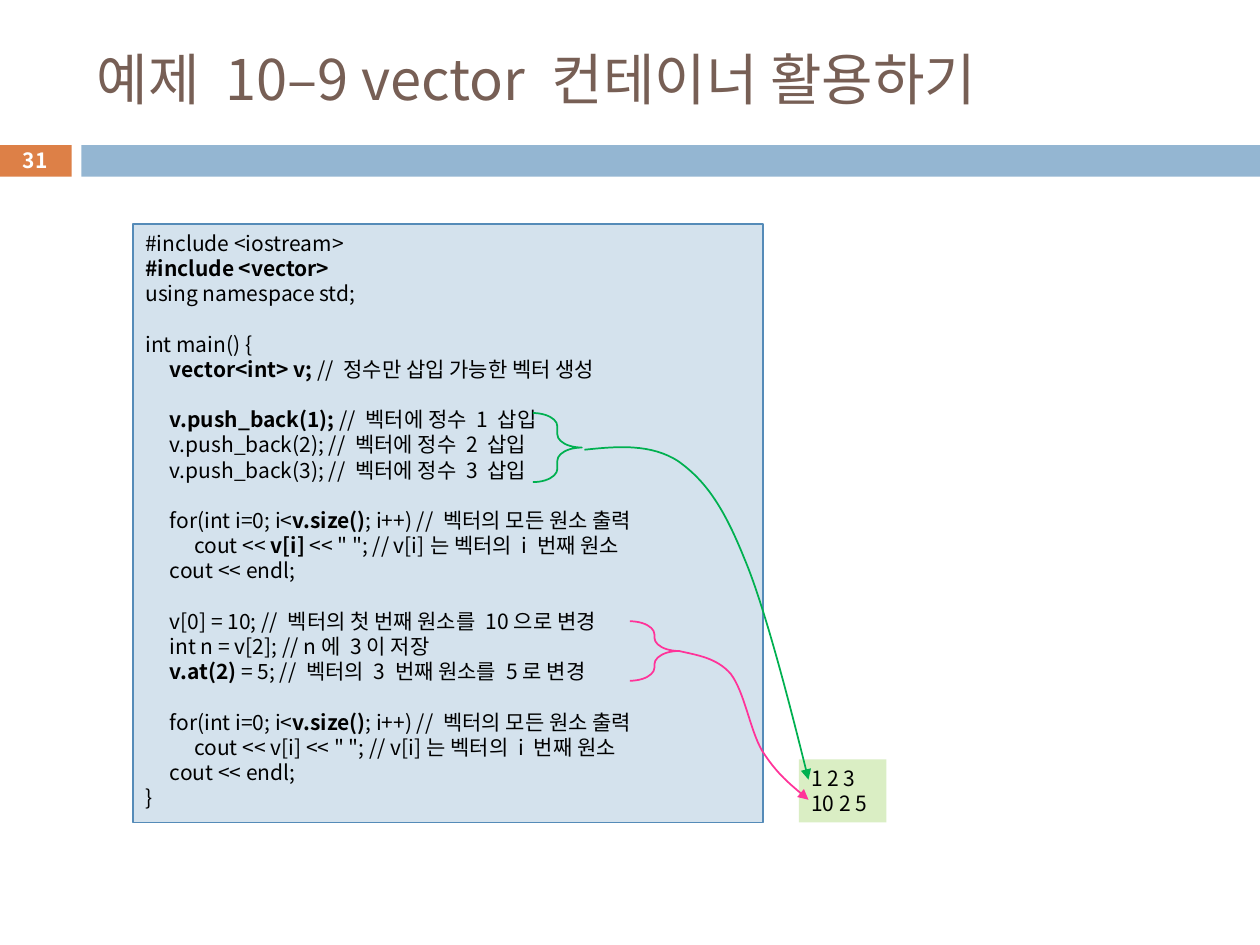
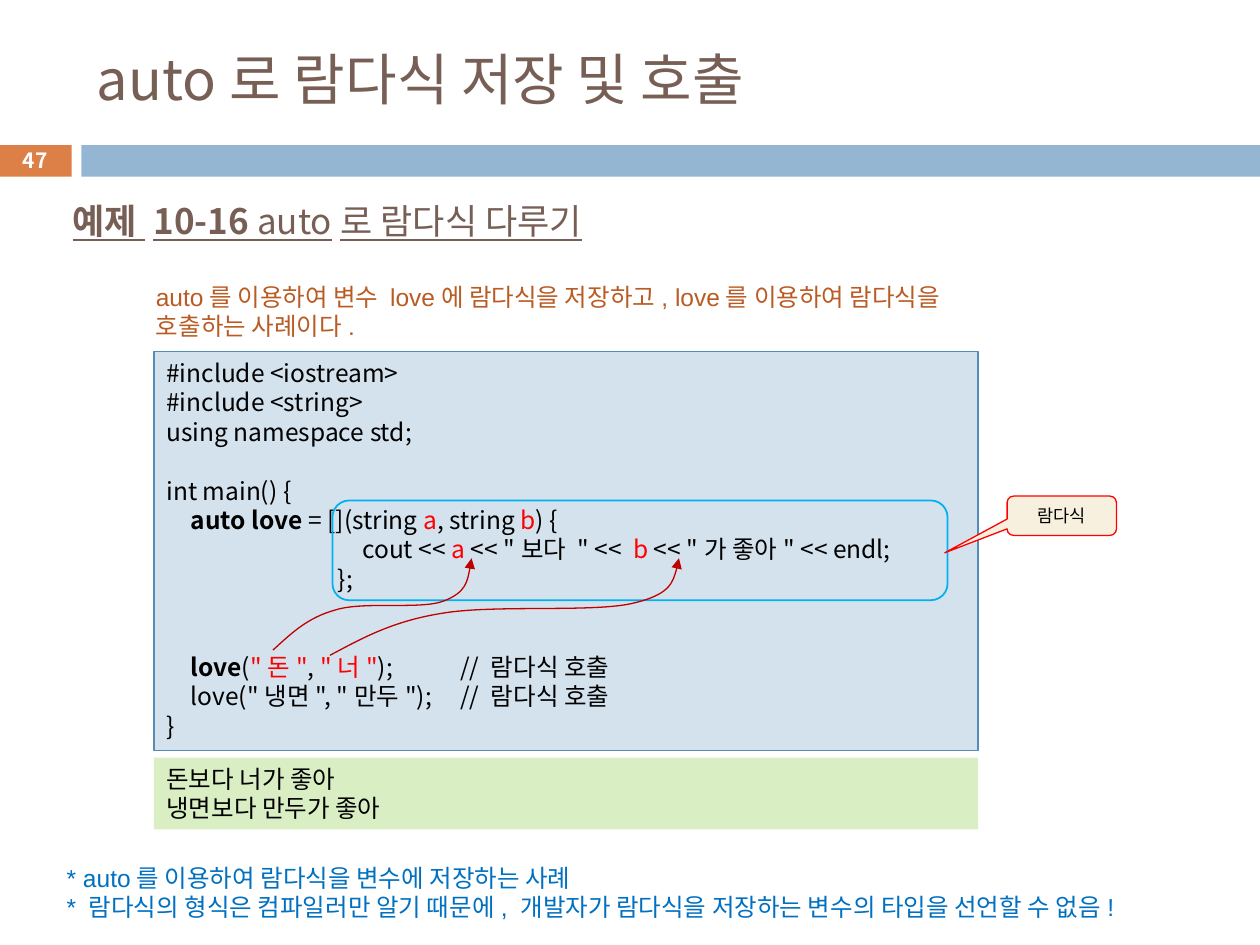
import lxml.etree
import pptx
import pptx.dml.color
import pptx.enum.shapes
import pptx.enum.text
import pptx.oxml.ns
import pptx.util

Pt = pptx.util.Pt
qn = pptx.oxml.ns.qn
SHAPE = pptx.enum.shapes.MSO_SHAPE
ANCHOR = pptx.enum.text.MSO_ANCHOR
ALIGN = pptx.enum.text.PP_ALIGN

COLORS = {
    "title": "775F55", "number": "DD8047", "band": "94B6D2", "white": "FFFFFF",
    "black": "000000", "code": "D4E2ED", "code_edge": "558BB8", "output": "DAEEC4",
    "green": "00B050", "pink": "FF3399", "red": "FF0000", "dark_red": "C00000",
    "sky": "00B0F0", "cream": "F7F0DE", "intro": "B95B22", "note": "0070C0",
}
SANS = "Noto Sans CJK KR"
TAB_WIDTH = 14
TAB_COUNT = 14
LINE_FACTOR = 1.2
BOLD = {"bold": True}
RED = {"color": "red"}

VECTOR_CODE = [
    "#include <iostream>",
    [("#include <vector>", BOLD)],
    "using namespace std;",
    "",
    "int main() {",
    ["\t", ("vector<int> v; ", BOLD), "// 정수만 삽입 가능한 벡터 생성"],
    "",
    ["\t", ("v.push_back(1); ", BOLD), "// 벡터에 정수 1 삽입"],
    "\tv.push_back(2); // 벡터에 정수 2 삽입",
    "\tv.push_back(3); // 벡터에 정수 3 삽입",
    "",
    ["\tfor(int i=0; i<", ("v.size()", BOLD), "; i++) // 벡터의 모든 원소 출력"],
    ["\t\tcout << ", ("v[i] ", BOLD), '<< " "; // v[i]는 벡터의 i 번째 원소'],
    "\tcout << endl;",
    "",
    "\tv[0] = 10; // 벡터의 첫 번째 원소를 10으로 변경",
    "\tint n = v[2]; // n에 3이 저장",
    [("\tv.at(2)", BOLD), " = 5; // 벡터의 3 번째 원소를 5로 변경"],
    "",
    ["\tfor(int i=0; i<", ("v.size()", BOLD), "; i++) // 벡터의 모든 원소 출력"],
    '\t\tcout << v[i] << " "; // v[i]는 벡터의 i 번째 원소',
    "\tcout << endl;",
    "}",
]
LAMBDA_CODE = [
    "#include <iostream>",
    "#include <string>",
    "using namespace std;",
    "",
    "int main() {",
    ["\t", ("auto love ", BOLD), "= [](string ", ("a", RED), ", string ", ("b", RED), ") {"],
    ["\t" * 8 + "cout << ", ("a", RED), ' << "보다 " <<  ', ("b", RED),
     ' << "가 좋아" << endl;'],
    "\t" * 7 + "};",
    "",
    "",
    ["\t", ("love", BOLD), "(", ('"돈"', RED), ", ", ('"너"', RED), "); \t\t\t// 람다식 호출"],
    '\tlove("냉면", "만두"); \t// 람다식 호출',
    "}",
]

# Curves: a start point, then three points for each Bézier segment,
# measured from the corner of the code box.
PUSH_CURVE = [(258, 129), (277, 127), (296, 125.5), (311.5, 135.5),
              (327, 146.5), (337.5, 161.5), (349.5, 191.5),
              (362.5, 222), (386, 317.5), (386, 317.5)]
CHANGE_CURVE = [(312, 244), (323, 246.5), (333.5, 248), (341.5, 257),
                (349.5, 267.5), (352.5, 289), (359.5, 301),
                (367.5, 313.5), (377, 321.5), (386, 329)]
FIRST_ARGUMENT_CURVE = [(68, 170.5), (78.5, 161), (87.5, 152), (104, 147.5),
                        (120, 142.5), (152.5, 147.5), (165.5, 142.5),
                        (178.5, 137.5), (180, 128), (181.5, 118)]
SECOND_ARGUMENT_CURVE = [(100.5, 173.5), (118.5, 164), (136, 154), (164.5, 149.5),
                         (193, 144.5), (249.5, 149), (272.5, 144),
                         (295, 139), (298, 129), (300, 118)]


def rgb(name):
    return pptx.dml.color.RGBColor.from_string(COLORS[name])


def inside(box, left, top, width, height):
    """Turn a place relative to the box into a place on the slide."""
    return box[0] + left, box[1] + top, width, height


def paint(shape, fill=None, line=None, weight=1):
    shape.shadow.inherit = False
    if fill:
        shape.fill.solid()
        shape.fill.fore_color.rgb = rgb(fill)
    else:
        shape.fill.background()
    if line:
        shape.line.color.rgb = rgb(line)
        shape.line.width = Pt(weight)
    else:
        shape.line.fill.background()


def add_span(para, text, size, color="black", font=SANS, **formats):
    span = para.add_run()
    span.text = text
    values = {"name": font, "size": Pt(size), "bold": False, **formats}
    for name, value in values.items():
        setattr(span.font, name, value)
    span.font.color.rgb = rgb(color)
    lxml.etree.SubElement(span.font._element, qn("a:ea"), typeface=SANS)


def add_tab_stops(para):
    stops = lxml.etree.SubElement(para._p.get_or_add_pPr(), qn("a:tabLst"))
    for number in range(1, TAB_COUNT + 1):
        lxml.etree.SubElement(stops, qn("a:tab"), algn="l",
                              pos=str(Pt(number * TAB_WIDTH)))


def write(shape, lines, size, anchor=ANCHOR.TOP, align=ALIGN.LEFT, tabs=False, **formats):
    """Write lines of text; an empty line becomes space before the next one."""
    frame = shape.text_frame
    frame.word_wrap = True
    frame.vertical_anchor = anchor
    pitch = size * LINE_FACTOR
    para, gap = None, 0
    for line in lines:
        if not line:
            gap += pitch
            continue
        para = frame.add_paragraph() if para else frame.paragraphs[0]
        if tabs:
            add_tab_stops(para)
        values = {"alignment": align, "line_spacing": Pt(pitch), "space_before": Pt(gap)}
        for name, value in values.items():
            setattr(para, name, value)
        gap = 0
        for part in [line] if isinstance(line, str) else line:
            text, extra = (part, {}) if isinstance(part, str) else part
            add_span(para, text, size, **{**formats, **extra})


def add_box(page, box, kind=SHAPE.RECTANGLE, fill=None, line=None, weight=1):
    shape = page.shapes.add_shape(kind, *map(Pt, box))
    paint(shape, fill, line, weight)
    return shape


def add_text(page, box, lines, size, **formats):
    write(page.shapes.add_textbox(*map(Pt, box)), lines, size, **formats)


def add_code(page, box, lines, size):
    shape = add_box(page, box, fill="code", line="code_edge", weight=0.75)
    write(shape, lines, size, tabs=True)


def add_output(page, box, lines, size):
    write(add_box(page, box, fill="output"), lines, size)


def add_brace(page, box, color):
    brace = add_box(page, box, SHAPE.RIGHT_BRACE, line=color)
    brace.adjustments[0] = 0.27


def add_curved_arrow(page, box, points, color, weight=1):
    """Draw straight segments, then join each three into one Bézier curve."""
    places = [(Pt(box[0] + x), Pt(box[1] + y)) for x, y in points]
    builder = page.shapes.build_freeform(*places[0])
    builder.add_line_segments(places[1:], close=False)
    arrow = builder.convert_to_shape()
    paint(arrow, line=color, weight=weight)
    properties = arrow.element.spPr
    outline = properties.find(".//" + qn("a:path"))
    outline.set("fill", "none")
    segments = outline.findall(qn("a:lnTo"))
    for start in range(0, len(segments), 3):
        curve = lxml.etree.SubElement(outline, qn("a:cubicBezTo"))
        for segment in segments[start:start + 3]:
            curve.append(segment[0])
            outline.remove(segment)
    lxml.etree.SubElement(properties.find(qn("a:ln")), qn("a:tailEnd"), type="triangle")


def add_page(deck, title, number):
    """Add a slide with the shared title, number block and band."""
    page = deck.slides.add_slide(deck.slide_layouts[5])
    heading = page.shapes.title
    places = dict(zip(("left", "top", "width", "height"), (48, 18, 642, 53.5)))
    for name, value in places.items():
        setattr(heading, name, Pt(value))
    write(heading, [title], 32, anchor=ANCHOR.MIDDLE, color="title")
    add_box(page, (0, 83, 41, 18), fill="number")
    add_box(page, (46.5, 83, 673.5, 18), fill="band")
    add_text(page, (-0.5, 81.5, 41.5, 19.5), [number], 12, anchor=ANCHOR.MIDDLE,
             align=ALIGN.CENTER, color="white", bold=True)
    return page


def add_vector_example(page, box):
    add_code(page, box, VECTOR_CODE, 12)
    add_output(page, inside(box, 380.5, 306, 50, 36), ["1 2 3", "10 2 5"], 12)
    add_brace(page, inside(box, 228.5, 108, 28, 39.5), "green")
    add_curved_arrow(page, box, PUSH_CURVE, "green")
    add_brace(page, inside(box, 284, 227, 28, 34), "pink")
    add_curved_arrow(page, box, CHANGE_CURVE, "pink")


def add_lambda_example(page, box):
    add_code(page, box, LAMBDA_CODE, 14)
    add_box(page, inside(box, 102, 85, 351.5, 57), SHAPE.ROUNDED_RECTANGLE, line="sky")
    callout = add_box(page, inside(box, 487.5, 82.5, 62.5, 22.5),
                      SHAPE.ROUNDED_RECTANGULAR_CALLOUT, "cream", "red", 0.75)
    callout.adjustments[0], callout.adjustments[1] = -1.07, 0.94
    write(callout, ["람다식"], 10, anchor=ANCHOR.MIDDLE, align=ALIGN.CENTER)
    for curve in (FIRST_ARGUMENT_CURVE, SECOND_ARGUMENT_CURVE):
        add_curved_arrow(page, box, curve, "dark_red", 0.75)
    add_output(page, inside(box, 0, 232, box[2], 41),
               ["돈보다 너가 좋아", "냉면보다 만두가 좋아"], 14)


def add_lambda_notes(page):
    underlined = {"underline": True}
    add_text(page, (34.5, 99.5, 642, 53.5),
             [[("예제", BOLD), " ", ("10-16", BOLD), " auto로 람다식 다루기"]],
             20, anchor=ANCHOR.MIDDLE, color="title", **underlined)
    add_text(page, (82, 157.5, 476, 41),
             ["auto를 이용하여 변수 love에 람다식을 저장하고, love를 이용하여 "
              "람다식을 호출하는 사례이다."], 14, color="intro", font="Arial")
    add_text(page, (31, 489.5, 667, 41),
             ["* auto를 이용하여 람다식을 변수에 저장하는 사례",
              "* 람다식의 형식은 컴파일러만 알기 때문에, 개발자가 람다식을 저장하는 "
              "변수의 타입을 선언할 수 없음!"], 14, color="note", font="Arial")


def main():
    deck = pptx.Presentation()
    deck.slide_width, deck.slide_height = Pt(720), Pt(540)
    vector_page = add_page(deck, "예제 10–9 vector 컨테이너 활용하기", "31")
    add_vector_example(vector_page, (76, 128, 360, 342))
    lambda_page = add_page(deck, "auto로 람다식 저장 및 호출", "47")
    add_lambda_notes(lambda_page)
    add_lambda_example(lambda_page, (88, 201, 471, 228))
    deck.save("out.pptx")


if __name__ == "__main__":
    main()
